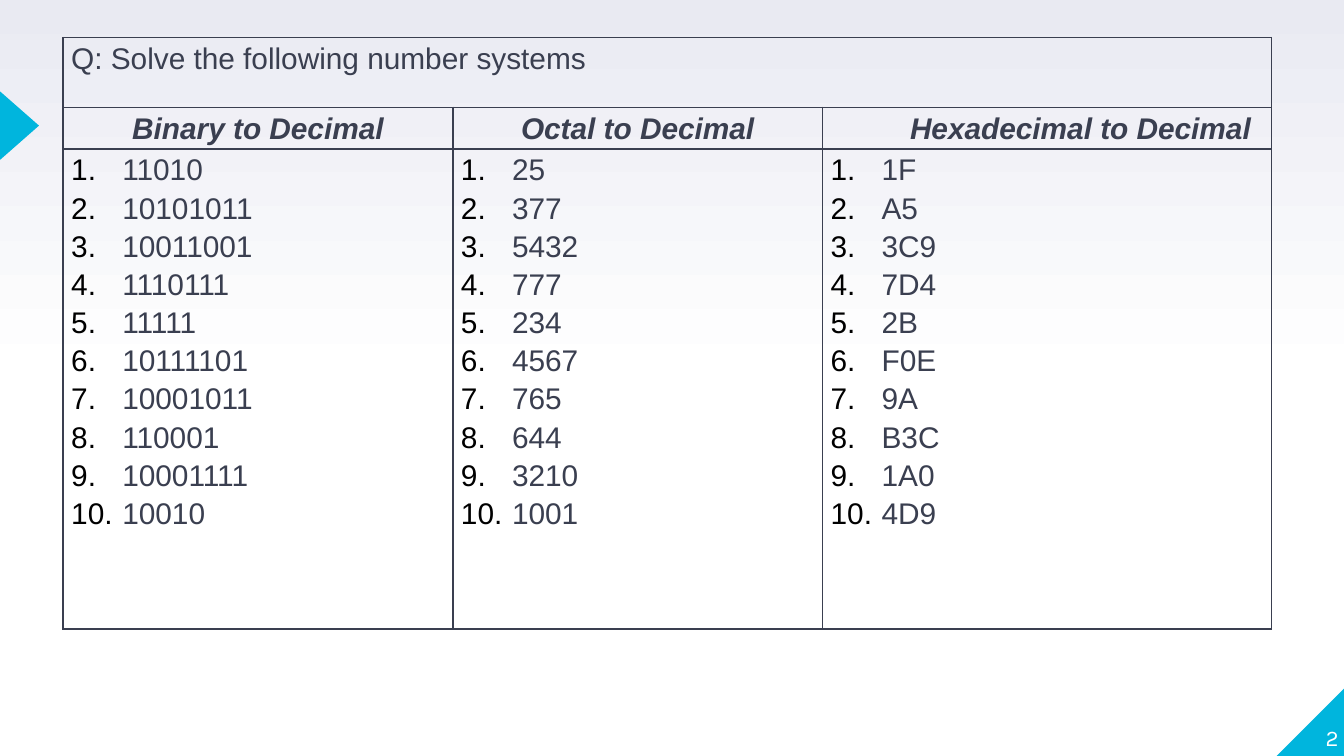
from lxml import etree
from pptx import Presentation
from pptx.dml.color import RGBColor
from pptx.enum.shapes import MSO_SHAPE
from pptx.enum.text import MSO_ANCHOR, PP_ALIGN
from pptx.oxml.ns import qn
from pptx.util import Inches, Pt

RIGHT_TRIANGLE, TRIANGLE = MSO_SHAPE.RIGHT_TRIANGLE, MSO_SHAPE.ISOSCELES_TRIANGLE
CENTER, RIGHT = PP_ALIGN.CENTER, PP_ALIGN.RIGHT
BOTTOM = MSO_ANCHOR.BOTTOM

WHITE = RGBColor(0xFF, 0xFF, 0xFF)
BLACK = RGBColor(0x00, 0x00, 0x00)
LAVENDER = RGBColor(0xE9, 0xEA, 0xF2)
CYAN = RGBColor(0x00, 0xB5, 0xDD)
SLATE = RGBColor(0x3A, 0x3F, 0x50)

WIDTH = 10
HEIGHT = WIDTH * 9 / 16
CORNER = 0.51
COLUMN_WIDTHS = (2.9, 2.75, 3.34)
ROW_HEIGHTS = (0.52, 0.31, 3.57)
QUESTION = "Q: Solve the following number systems"
EXERCISES = {
    "Binary to Decimal": "11010 10101011 10011001 1110111 11111 "
                         "10111101 10001011 110001 10001111 10010",
    "Octal to Decimal": "25 377 5432 777 234 4567 765 644 3210 1001",
    "Hexadecimal to Decimal": "1F A5 3C9 7D4 2B F0E 9A B3C 1A0 4D9",
}


def paint_background(page):
    fill = page.background.fill
    fill.gradient()
    fill.gradient_angle = 90
    for stop, position, color in zip(fill.gradient_stops, (0.5, 1), (WHITE, LAVENDER)):
        stop.position = position
        stop.color.rgb = color


def add_triangle(page, kind, left, top, width, height):
    shape = page.shapes.add_shape(kind, *map(Inches, (left, top, width, height)))
    shape.shadow.inherit = False
    shape.fill.solid()
    shape.fill.fore_color.rgb = CYAN
    shape.line.fill.background()
    return shape


def add_span(para, text, size, font, color, strong=False):
    span = para.add_run()
    span.text = text
    span.font.size = Pt(size)
    span.font.name = font
    span.font.color.rgb = color
    span.font.bold = span.font.italic = strong


def add_page_number(page, left, top, side):
    """Place the corner triangle and the number in it."""
    corner = add_triangle(page, RIGHT_TRIANGLE, left, top, side, side)
    corner.element.spPr.get_or_add_xfrm().set("flipH", "1")
    box = page.shapes.add_textbox(*map(Inches, (left - 0.04, top - 0.04, side - 0.01, side)))
    frame = box.text_frame
    frame.word_wrap = True
    frame.vertical_anchor = BOTTOM
    frame.margin_left = frame.margin_right = frame.margin_top = frame.margin_bottom = 0
    para = frame.paragraphs[0]
    para.alignment = RIGHT
    add_span(para, "2", 12, "Karla", WHITE)


def outline_cell(cell):
    properties = cell._tc.get_or_add_tcPr()
    for index, side in enumerate(("lnL", "lnR", "lnT", "lnB")):
        line = etree.Element(qn(f"a:{side}"), w=str(Pt(1)))
        fill = etree.SubElement(line, qn("a:solidFill"))
        etree.SubElement(fill, qn("a:srgbClr"), val=str(SLATE))
        properties.insert(index, line)


def format_cell(cell):
    cell.margin_left = cell.margin_right = Inches(0.06)
    cell.margin_top = cell.margin_bottom = 0
    cell.fill.background()
    outline_cell(cell)


def write_para(para, text, strong=False):
    para.line_spacing = 1.15
    add_span(para, text, 16, "Arial", SLATE, strong)


def number_para(para):
    para.level = 2
    properties = para._p.get_or_add_pPr()
    properties.set("marL", str(Inches(0.38)))
    properties.set("indent", str(-Inches(0.38)))
    color = etree.SubElement(properties, qn("a:buClr"))
    etree.SubElement(color, qn("a:srgbClr"), val=str(BLACK))
    etree.SubElement(properties, qn("a:buFont"), typeface="Arial")
    etree.SubElement(properties, qn("a:buAutoNum"), type="arabicPeriod")


def fill_column(heading_cell, list_cell, heading, numbers):
    para = heading_cell.text_frame.paragraphs[0]
    para.alignment = CENTER
    write_para(para, heading, strong=True)
    frame = list_cell.text_frame
    for index, number in enumerate(numbers):
        para = frame.add_paragraph() if index else frame.paragraphs[0]
        write_para(para, number)
        number_para(para)


def add_exercise_table(page, left, top):
    frame = page.shapes.add_table(
        len(ROW_HEIGHTS), len(COLUMN_WIDTHS), Inches(left), Inches(top),
        Inches(sum(COLUMN_WIDTHS)), Inches(sum(ROW_HEIGHTS)))
    table = frame.table
    table.first_row = table.horz_banding = False
    for column, width in zip(table.columns, COLUMN_WIDTHS):
        column.width = Inches(width)
    for row, height in zip(table.rows, ROW_HEIGHTS):
        row.height = Inches(height)
    for cell in table.iter_cells():
        format_cell(cell)

    question = table.cell(0, 0)
    question.merge(table.cell(0, len(COLUMN_WIDTHS) - 1))
    para = question.text_frame.paragraphs[0]
    para.space_before = para.space_after = Pt(12)
    write_para(para, QUESTION)

    for column, (heading, numbers) in enumerate(EXERCISES.items()):
        fill_column(table.cell(1, column), table.cell(2, column), heading, numbers.split())
    last_heading = table.cell(1, len(COLUMN_WIDTHS) - 1).text_frame.paragraphs[0]
    last_heading._p.get_or_add_pPr().set("marL", str(Inches(0.5)))


def main():
    deck = Presentation()
    deck.slide_width, deck.slide_height = Inches(WIDTH), Inches(HEIGHT)
    page = deck.slides.add_slide(deck.slide_layouts[6])
    paint_background(page)
    add_triangle(page, TRIANGLE, -0.11, 0.79, 0.51, 0.29).rotation = 90
    add_page_number(page, WIDTH - CORNER + 0.01, HEIGHT - CORNER, CORNER)
    add_exercise_table(page, 0.47, 0.28)
    deck.save("out.pptx")


if __name__ == "__main__":
    main()
